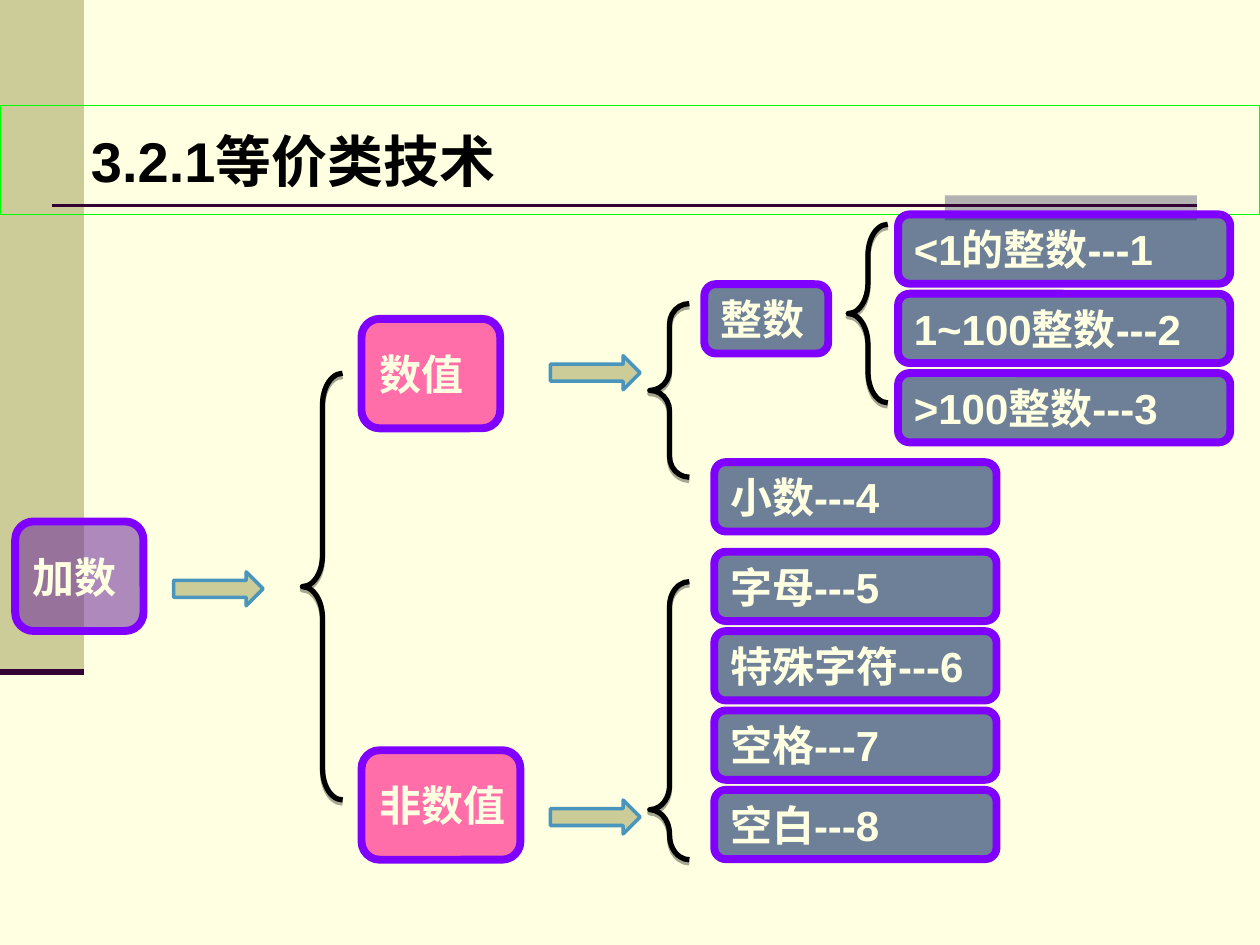
from lxml import etree
from pptx import Presentation
from pptx.dml.color import RGBColor
from pptx.enum.shapes import MSO_CONNECTOR, MSO_SHAPE
from pptx.enum.text import MSO_ANCHOR, PP_ALIGN
from pptx.oxml.ns import qn
from pptx.util import Pt

RECT = MSO_SHAPE.RECTANGLE
ROUND = MSO_SHAPE.ROUNDED_RECTANGLE
ARROW = MSO_SHAPE.RIGHT_ARROW
BRACE = MSO_SHAPE.LEFT_BRACE
LINE = MSO_CONNECTOR.STRAIGHT
MIDDLE = MSO_ANCHOR.MIDDLE
LEFT = PP_ALIGN.LEFT

CREAM = RGBColor(0xFF, 0xFF, 0xE1)
KHAKI = RGBColor(0xCC, 0xCC, 0x99)
GREY = RGBColor(0xB2, 0xB2, 0xB2)
PLUM = RGBColor(0x33, 0x00, 0x33)
GREEN = RGBColor(0x00, 0xFF, 0x00)
BLACK = RGBColor(0x00, 0x00, 0x00)
VIOLET = RGBColor(0x80, 0x00, 0xFF)
PURPLE = RGBColor(0x70, 0x30, 0xA0)
PINK = RGBColor(0xFF, 0x00, 0x80)
NAVY = RGBColor(0x00, 0x20, 0x60)
BLUE = RGBColor(0x49, 0x95, 0xBC)
FONT = "Arial"

# Content: tree nodes as text, left, top, width, height, colour
TITLE = "3.2.1等价类技术"
NODES = [
    ("加数", 8.7, 298, 73.3, 62.6, PURPLE),
    ("数值", 206.6, 182.2, 79.3, 62.6, PINK),
    ("非数值", 206.6, 428.7, 90.8, 62.6, PINK),
    ("整数", 402.5, 162.4, 70.8, 39.6, NAVY),
]
# Leaf stacks as left, top, width, texts
STACKS = [
    (513.2, 122.5, 189.8, ["<1的整数---1", "1~100整数---2", ">100整数---3"]),
    (408.2, 264.1, 161.3, ["小数---4"]),
    (408.2, 315.3, 161.3, ["字母---5", "特殊字符---6", "空格---7", "空白---8"]),
]
LEAF, STEP = 39.6, 45.35
# Arrows as left, top
ARROWS = [(99.2, 326.8), (314.6, 203.3), (314.6, 457.2)]
# Braces as left, top, width, height, curl, tip
BRACES = [
    (172.8, 213.3, 23, 243.8, 0.78, 0.5),
    (371.3, 173.5, 22.6, 99.2, 0.52, 0.5),
    (484.7, 128.2, 22.6, 102, 0.78, 0.5),
    (371.3, 332.4, 22.6, 158.9, 0.62, 0.82),
]

prs = Presentation()
prs.slide_width, prs.slide_height = Pt(720), Pt(540)
slide = prs.slides.add_slide(prs.slide_layouts[5])
slide.background.fill.solid()
slide.background.fill.fore_color.rgb = CREAM
shapes = slide.shapes


def put(kind, x, y, w, h, fill=None, line=None, width=0):
    shape = shapes.add_shape(kind, Pt(x), Pt(y), Pt(w), Pt(h))
    shape.shadow.inherit = False
    if fill is None:
        shape.fill.background()
    else:
        shape.fill.solid()
        shape.fill.fore_color.rgb = fill
    if line is None:
        shape.line.fill.background()
    else:
        shape.line.color.rgb = line
        shape.line.width = Pt(width)
    return shape


def rule(x, y, end, width):
    line = shapes.add_connector(LINE, Pt(x), Pt(y), Pt(end), Pt(y))
    line.line.color.rgb = PLUM
    line.line.width = Pt(width)
    etree.SubElement(line._element.spPr, qn("a:effectLst"))


def fade(color, share):
    etree.SubElement(color, qn("a:alpha"), val=str(share * 1000))


def write(shape, text, size, color, left):
    frame = shape.text_frame
    frame.word_wrap = True
    frame.vertical_anchor = MIDDLE
    frame.margin_left, frame.margin_right = Pt(left), Pt(0)
    frame.margin_top = frame.margin_bottom = Pt(3.6)
    para = frame.paragraphs[0]
    para.alignment = LEFT
    run = para.add_run()
    run.text = text
    run.font.name = FONT
    run.font.size = Pt(size)
    run.font.bold = True
    run.font.color.rgb = color


def node(text, x, y, w, h, fill):
    box = put(ROUND, x, y, w, h, fill, VIOLET, 4.5)
    fade(box._element.spPr.find(qn("a:solidFill"))[0], 57)
    write(box, text, 24, CREAM, 7.2)


# Side band and title rule
put(RECT, 0, 0, 48, 384, KHAKI)
put(RECT, 540, 111.6, 144, 14.4, GREY)
rule(30, 117.5, 684, 1.5)
rule(0, 384, 48, 3.5)

# Title, raised above the band
title = shapes.title
title.left, title.top, title.width, title.height = Pt(0), Pt(60.3), Pt(720), Pt(62.4)
title.line.color.rgb = GREEN
title.line.width = Pt(0.75)
write(title, TITLE, 32, BLACK, 52)
shapes._spTree.append(title._element)

# Tree nodes and leaf stacks
for item in NODES:
    node(*item)
for x, y, w, texts in STACKS:
    for i, text in enumerate(texts):
        node(text, x, y + i * STEP, w, LEAF, NAVY)

# Arrows
for x, y in ARROWS:
    put(ARROW, x, y, 51.2, 19.4, KHAKI, BLUE, 2)

# Braces with a soft drop shadow
for x, y, w, h, curl, tip in BRACES:
    brace = put(BRACE, x, y, w, h, None, BLACK, 3)
    brace.adjustments[0], brace.adjustments[1] = curl, tip
    effects = brace._element.spPr.find(qn("a:effectLst"))
    shade = etree.SubElement(effects, qn("a:outerShdw"), blurRad="0",
                             dist=str(Pt(1.8)), dir="5400000", rotWithShape="0")
    fade(etree.SubElement(shade, qn("a:srgbClr"), val=str(BLACK)), 35)

prs.save("out.pptx")
